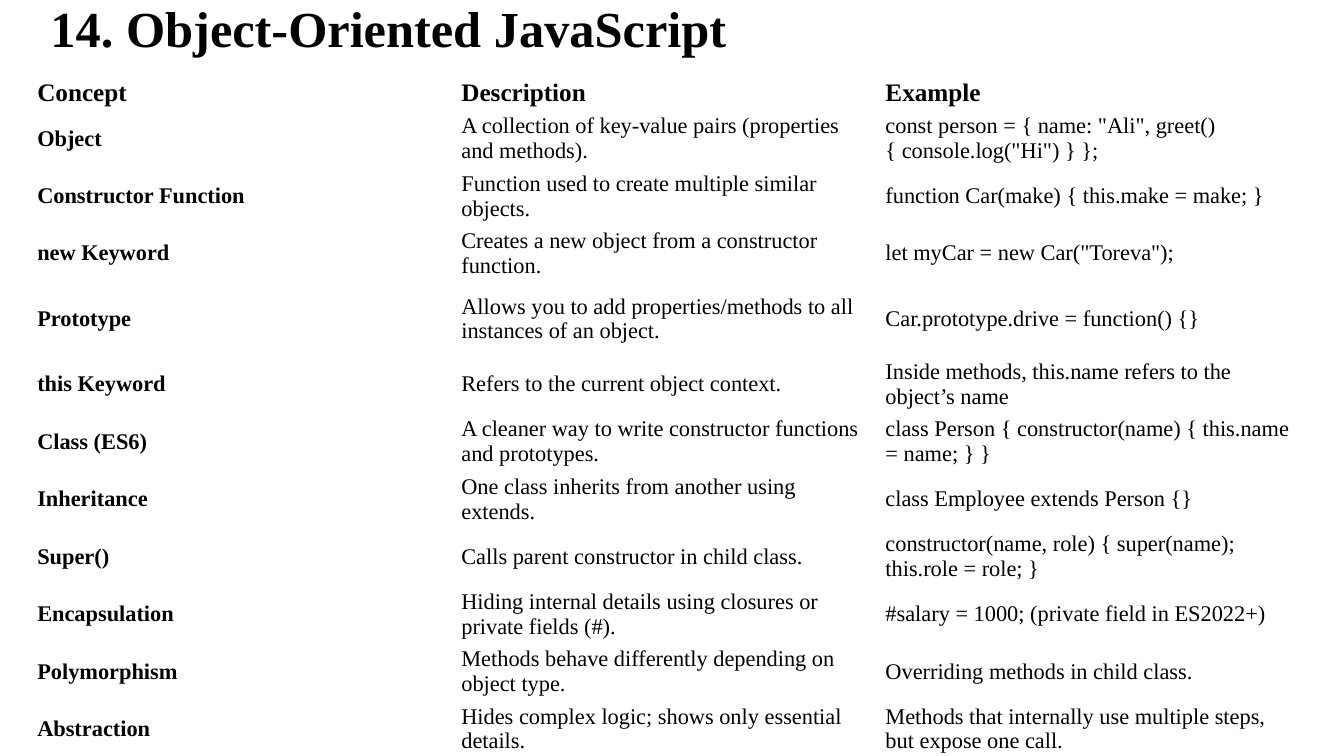
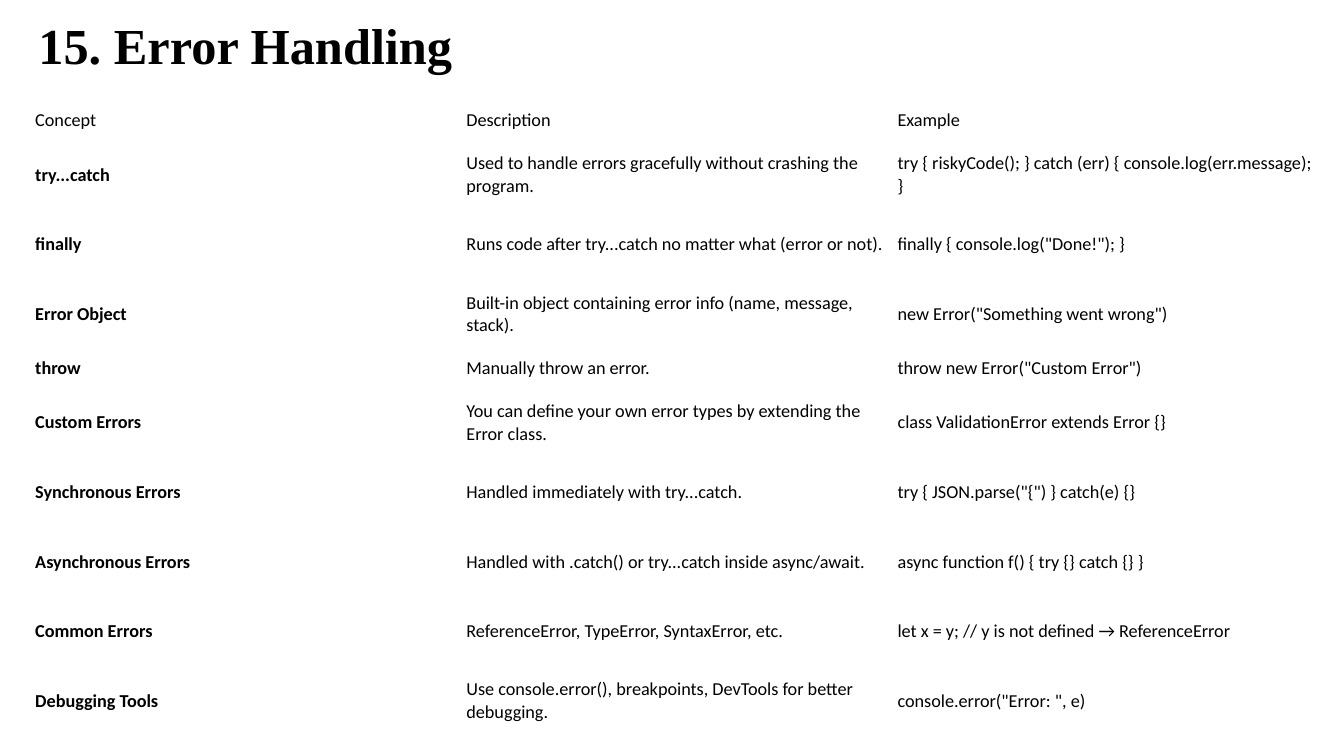
from pptx import Presentation
from pptx.dml.color import RGBColor
from pptx.enum.text import MSO_ANCHOR as Anchor, PP_ALIGN as Align
from pptx.util import Inches, Pt

SERIF, SANS = "Times New Roman", "Calibri"
INK = "000000"
HEADS = ("Concept", "Description", "Example")

OBJECTS = [
    ("Object", "A collection of key-value pairs (properties and methods).",
     'const person = { name: "Ali", greet() { console.log("Hi") } };'),
    ("Constructor Function", "Function used to create multiple similar objects.",
     "function Car(make) { this.make = make; }"),
    ("new Keyword", "Creates a new object from a constructor function.",
     'let myCar = new Car("Toreva");'),
    ("Prototype", "Allows you to add properties/methods to all instances of an object.",
     "Car.prototype.drive = function() {}"),
    ("this Keyword", "Refers to the current object context.",
     "Inside methods, this.name refers to the object’s name"),
    ("Class (ES6)", "A cleaner way to write constructor functions and prototypes.",
     "class Person { constructor(name) { this.name = name; } }"),
    ("Inheritance", "One class inherits from another using extends.",
     "class Employee extends Person {}"),
    ("Super()", "Calls parent constructor in child class.",
     "constructor(name, role) { super(name); this.role = role; }"),
    ("Encapsulation", "Hiding internal details using closures or private fields (#).",
     "#salary = 1000; (private field in ES2022+)"),
    ("Polymorphism", "Methods behave differently depending on object type.",
     "Overriding methods in child class."),
    ("Abstraction", "Hides complex logic; shows only essential details.",
     "Methods that internally use multiple steps, but expose one call."),
]

ERRORS = [
    ("try...catch", "Used to handle errors gracefully without crashing the program.",
     "try { riskyCode(); } catch (err) { console.log(err.message); }"),
    ("finally", "Runs code after try...catch no matter what (error or not).",
     'finally { console.log("Done!"); }'),
    ("Error Object", "Built-in object containing error info (name, message, stack).",
     'new Error("Something went wrong")'),
    ("throw", "Manually throw an error.", 'throw new Error("Custom Error")'),
    ("Custom Errors", "You can define your own error types by extending the Error class.",
     "class ValidationError extends Error {}"),
    ("Synchronous Errors", "Handled immediately with try...catch.",
     'try { JSON.parse("{") } catch(e) {}'),
    ("Asynchronous Errors", "Handled with .catch() or try...catch inside async/await.",
     "async function f() { try {} catch {} }"),
    ("Common Errors", "ReferenceError, TypeError, SyntaxError, etc.",
     "let x = y; // y is not defined → ReferenceError"),
    ("Debugging Tools", "Use console.error(), breakpoints, DevTools for better debugging.",
     'console.error("Error: ", e)'),
]


def set_font(font, name, size, bold, color=INK):
    font.name, font.size, font.bold = name, Pt(size), bold
    font.color.rgb = RGBColor.from_string(color)


def add_slide(deck, title, left, top):
    """Add a slide with its title placed at left, top."""
    slide = deck.slides.add_slide(deck.slide_layouts[5])
    head = slide.shapes.title
    head.left, head.top = Inches(left), Inches(top)
    head.width, head.height = Inches(11.5), Inches(1.45)
    head.text_frame.text = title
    head.text_frame.vertical_anchor = Anchor.MIDDLE
    para = head.text_frame.paragraphs[0]
    para.alignment, para.line_spacing = Align.LEFT, 0.9
    set_font(para.font, SERIF, 36, True)
    return slide


def fill_cell(cell, text, pad, name, size, bold):
    cell.fill.background()
    cell.vertical_anchor = Anchor.MIDDLE
    cell.margin_left = cell.margin_right = Inches(pad[0])
    cell.margin_top = cell.margin_bottom = Inches(pad[1])
    cell.text = text
    set_font(cell.text_frame.paragraphs[0].font, name, size, bold)


def add_grid(slide, rows, box, heights, pad, name, size, head_size, head_bold):
    """Add a plain table with a header row and a bold first column."""
    rows = [HEADS, *rows]
    frame = slide.shapes.add_table(len(rows), len(HEADS), *map(Inches, box))
    table = frame.table
    table.first_row = table.horz_banding = False
    for col in table.columns:
        col.width = Inches(box[2] / len(HEADS))
    for r, (texts, height) in enumerate(zip(rows, heights)):
        table.rows[r].height = Inches(height)
        for c, text in enumerate(texts):
            bold = c == 0 if r else head_bold
            fill_cell(table.cell(r, c), text, pad, name, size if r else head_size, bold)


def main():
    deck = Presentation()
    deck.slide_width, deck.slide_height = Inches(13.33), Inches(7.5)

    slide = add_slide(deck, "14. Object-Oriented JavaScript", 0.4, -0.42)
    heights = [0.34] + [0.57] * 3 + [0.73] + [0.57] * 7
    add_grid(slide, OBJECTS, (0.31, 0.75, 12.62, sum(heights)), heights,
             (0.06, 0.03), SERIF, 16, 18, True)

    slide = add_slide(deck, "15. Error Handling", 0.28, -0.25)
    heights = [0.39] + [0.69] * 3 + [0.39] + [0.69] * 5
    add_grid(slide, ERRORS, (0.28, 1, 12.83, sum(heights)), heights,
             (0.07, 0.04), SANS, 13, 13, False)

    deck.save("out.pptx")


if __name__ == "__main__":
    main()
